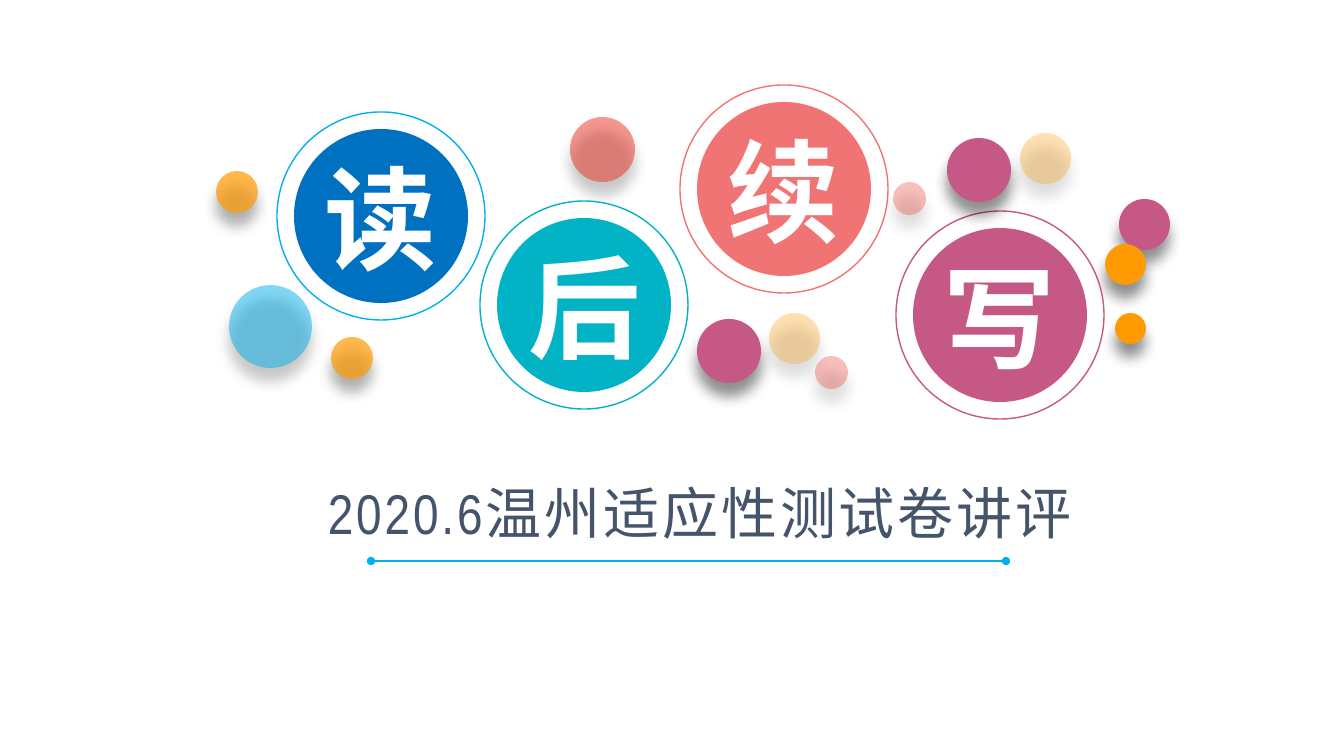
from lxml.etree import SubElement
from pptx import Presentation
from pptx.dml.color import RGBColor
from pptx.enum.lang import MSO_LANGUAGE_ID as Lang
from pptx.enum.shapes import MSO_CONNECTOR as Connector, MSO_SHAPE as Shape
from pptx.enum.text import MSO_ANCHOR as Anchor, MSO_AUTO_SIZE as AutoSize, PP_ALIGN as Align
from pptx.oxml.ns import qn
from pptx.util import Pt

PX = 914400 / 100.8
FONT = "Arial Narrow"
WHITE = RGBColor(0xFF, 0xFF, 0xFF)
SLATE = RGBColor(0x44, 0x54, 0x6A)
SKY = RGBColor(0x00, 0xB0, 0xF0)
PALE_BLUE = RGBColor(0x07, 0xB1, 0xEC)
BLUE = RGBColor(0x00, 0x70, 0xC0)
TEAL = RGBColor(0x01, 0xB3, 0xC5)
CORAL = RGBColor(0xF1, 0x74, 0x75)
PLUM = RGBColor(0xC6, 0x58, 0x85)
ORANGE = RGBColor(0xFF, 0x9B, 0x02)
RED = RGBColor(0xEC, 0x32, 0x25)

BACK_BUBBLES = [
    (229, 285, 83, PALE_BLUE, 50),
    (769, 313, 51, ORANGE, 30),
    (1119, 199, 51, PLUM, 100),
    (331, 337, 42, ORANGE, 70),
    (697, 319, 64, PLUM, 100),
    (815, 356, 33, RED, 30),
    (570, 117, 65, RED, 50),
    (1115, 313, 31, ORANGE, 100),
    (1105, 244, 41, ORANGE, 100),
    (216, 171, 42, ORANGE, 70),
]
FRONT_BUBBLES = [
    (893, 182, 33, RED, 30),
    (1020, 133, 51, ORANGE, 30),
    (947, 138, 64, PLUM, 100),
]
MEDALLIONS = [
    ("读", 277, 112, BLUE, SKY),
    ("后", 480, 201, TEAL, TEAL),
    ("续", 680, 85, CORAL, CORAL),
    ("写", 896, 211, PLUM, PLUM),
]


def px(*lengths):
    return [round(length * PX) for length in lengths]


def add_circle(shapes, left, top, size, fill=None, outline=None):
    circle = shapes.add_shape(Shape.OVAL, *px(left, top, size, size))
    circle.shadow.inherit = False
    if fill is None:
        circle.fill.background()
    else:
        circle.fill.solid()
        circle.fill.fore_color.rgb = fill
    if outline is None:
        circle.line.fill.background()
    else:
        circle.line.color.rgb = outline
        circle.line.width = Pt(1)
    return circle


def add_text(shapes, text, box, size, color, bold=False, align=Align.LEFT,
             anchor=Anchor.TOP, spacing=0):
    frame = shapes.add_textbox(*px(*box)).text_frame
    frame.word_wrap = False
    frame.auto_size = AutoSize.SHAPE_TO_FIT_TEXT
    frame.vertical_anchor = anchor
    paragraph = frame.paragraphs[0]
    paragraph.alignment = align
    run = paragraph.add_run()
    run.text = text
    font = run.font
    font.name, font.size, font.bold = FONT, Pt(size), bold
    font.color.rgb = color
    font.language_id = Lang.SIMPLIFIED_CHINESE
    properties = run._r.get_or_add_rPr()
    SubElement(properties, qn("a:ea"), typeface=FONT)
    if spacing:
        properties.set("spc", str(round(spacing * 100)))


def add_bubble(shapes, left, top, size, color, opacity):
    bubble = add_circle(shapes, left, top, size, fill=color)
    if color == RED:
        bubble.rotation = 233
    properties = bubble._element.spPr
    if opacity < 100:
        tint = properties.find(qn("a:solidFill"))[0]
        SubElement(tint, qn("a:alpha"), val=str(opacity * 1000))
    effects = properties.find(qn("a:effectLst"))
    shadow = SubElement(effects, qn("a:outerShdw"), blurRad=str(Pt(10)),
                        dist=str(Pt(10)), dir=str(90 * 60000), rotWithShape="0")
    black = SubElement(shadow, qn("a:srgbClr"), val="000000")
    SubElement(black, qn("a:alpha"), val="43000")


def add_medallion(shapes, character, left, top, fill, ring):
    group = shapes.add_group_shape().shapes
    add_circle(group, left + 17, top + 17, 174, fill=fill)
    add_circle(group, left, top, 208, outline=ring)
    add_text(group, character, (left + 37, top + 32, 134, 146), size=80,
             color=WHITE, bold=True, align=Align.CENTER, anchor=Anchor.MIDDLE)


def add_subtitle(shapes, left, top, width, height):
    add_text(shapes, "2020.6温州适应性测试卷讲评", (left, top, width, height),
             size=40, color=SLATE, spacing=2.1)
    rule_left, rule_top = left + 53, top + 87
    rule = shapes.add_connector(
        Connector.STRAIGHT, *px(rule_left, rule_top, rule_left + 635, rule_top))
    rule.line.color.rgb = SKY
    rule.line.width = Pt(1)
    stroke = rule.line._get_or_add_ln()
    for end in ("a:headEnd", "a:tailEnd"):
        SubElement(stroke, qn(end), type="oval")
    SubElement(rule._element.spPr, qn("a:effectLst"))


def add_title_slide(deck):
    shapes = deck.slides.add_slide(deck.slide_layouts[6]).shapes
    for bubble in BACK_BUBBLES:
        add_bubble(shapes, *bubble)
    for medallion in MEDALLIONS:
        add_medallion(shapes, *medallion)
    add_subtitle(shapes, 318, 474, 792, 78)
    for bubble in FRONT_BUBBLES:
        add_bubble(shapes, *bubble)


def main():
    deck = Presentation()
    deck.slide_width, deck.slide_height = px(1344, 756)
    add_title_slide(deck)
    deck.save("out.pptx")


if __name__ == "__main__":
    main()
